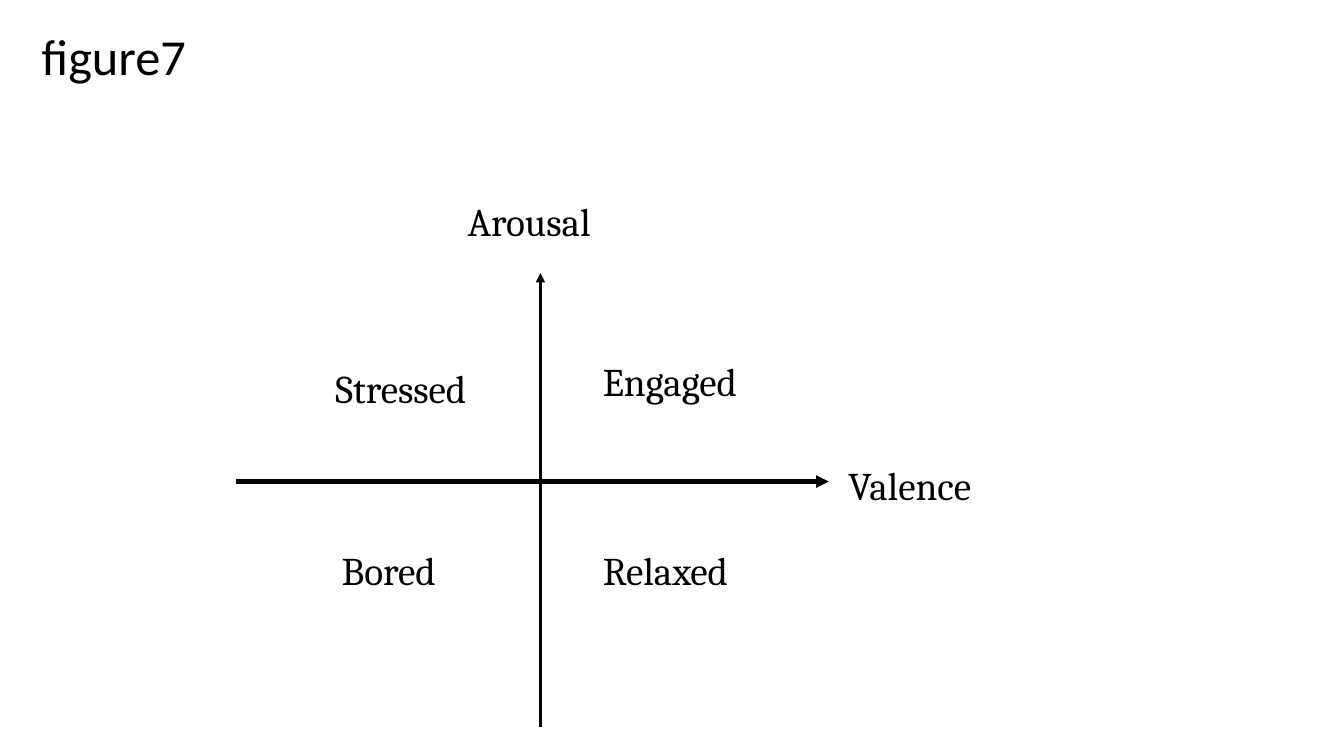
from lxml.etree import SubElement
from pptx import Presentation
from pptx.dml.color import RGBColor
from pptx.enum.shapes import MSO_CONNECTOR, MSO_SHAPE
from pptx.enum.text import MSO_ANCHOR, PP_ALIGN
from pptx.oxml.ns import qn
from pptx.util import Pt

COLORS = {"ink": "000000", "paper": "FFFFFF"}

# Word, left, top, width, height
AXIS_NAMES = [
    ("Arousal", 327, 137.5, 173.5, 42.5),
    ("Valence", 599, 326, 109.5, 36),
]
MOODS = [
    ("Stressed", 232.5, 257, 127.5, 52.5),
    ("Engaged", 423.5, 252, 139, 52.5),
    ("Bored", 237, 386.5, 112.5, 52.5),
    ("Relaxed", 423.5, 386.5, 112.5, 52.5),
]
CENTER_X, CENTER_Y = 386, 344


def color(name):
    """Return the named colour."""
    return RGBColor.from_string(COLORS[name])


def write_text(box, text, font, size):
    """Fill a box with one left-aligned paragraph, set at the top."""
    frame = box.text_frame
    frame.word_wrap = True
    frame.vertical_anchor = MSO_ANCHOR.TOP
    para = frame.paragraphs[0]
    para.alignment = PP_ALIGN.LEFT
    span = para.add_run()
    span.text = text
    span.font.name = font
    span.font.size = Pt(size)
    span.font.color.rgb = color("ink")


def set_title(page, text):
    """Place and format the slide title."""
    title = page.shapes.title
    title.left, title.top, title.width, title.height = (
        Pt(length) for length in (22.5, 14.5, 396.5, 51))
    write_text(title, text, font="Calibri", size=36)
    title.text_frame.paragraphs[0].line_spacing = 1.0


def add_label(page, text, *place):
    """Add a white box that holds one word."""
    box = page.shapes.add_shape(MSO_SHAPE.RECTANGLE, *map(Pt, place))
    box.shadow.inherit = False
    box.fill.solid()
    box.fill.fore_color.rgb = color("paper")
    box.line.fill.background()
    write_text(box, text, font="Cambria", size=28)


def add_axis(page, *ends, weight):
    """Add an axis with an arrowhead at its far end."""
    axis = page.shapes.add_connector(MSO_CONNECTOR.STRAIGHT, *map(Pt, ends))
    axis.line.color.rgb = color("ink")
    axis.line.width = Pt(weight)
    SubElement(axis.line._get_or_add_ln(), qn("a:tailEnd"), type="triangle")
    SubElement(axis._element.spPr, qn("a:effectLst"))


def main():
    """Build the valence and arousal slide."""
    deck = Presentation()
    deck.slide_width, deck.slide_height = Pt(960), Pt(540)
    page = deck.slides.add_slide(deck.slide_layouts[5])
    set_title(page, "figure7")
    for label in AXIS_NAMES + MOODS:
        add_label(page, *label)
    add_axis(page, 168.5, CENTER_Y, 592, CENTER_Y, weight=3)
    add_axis(page, CENTER_X, 519, CENTER_X, 195, weight=2.25)
    deck.save("out.pptx")


main()
